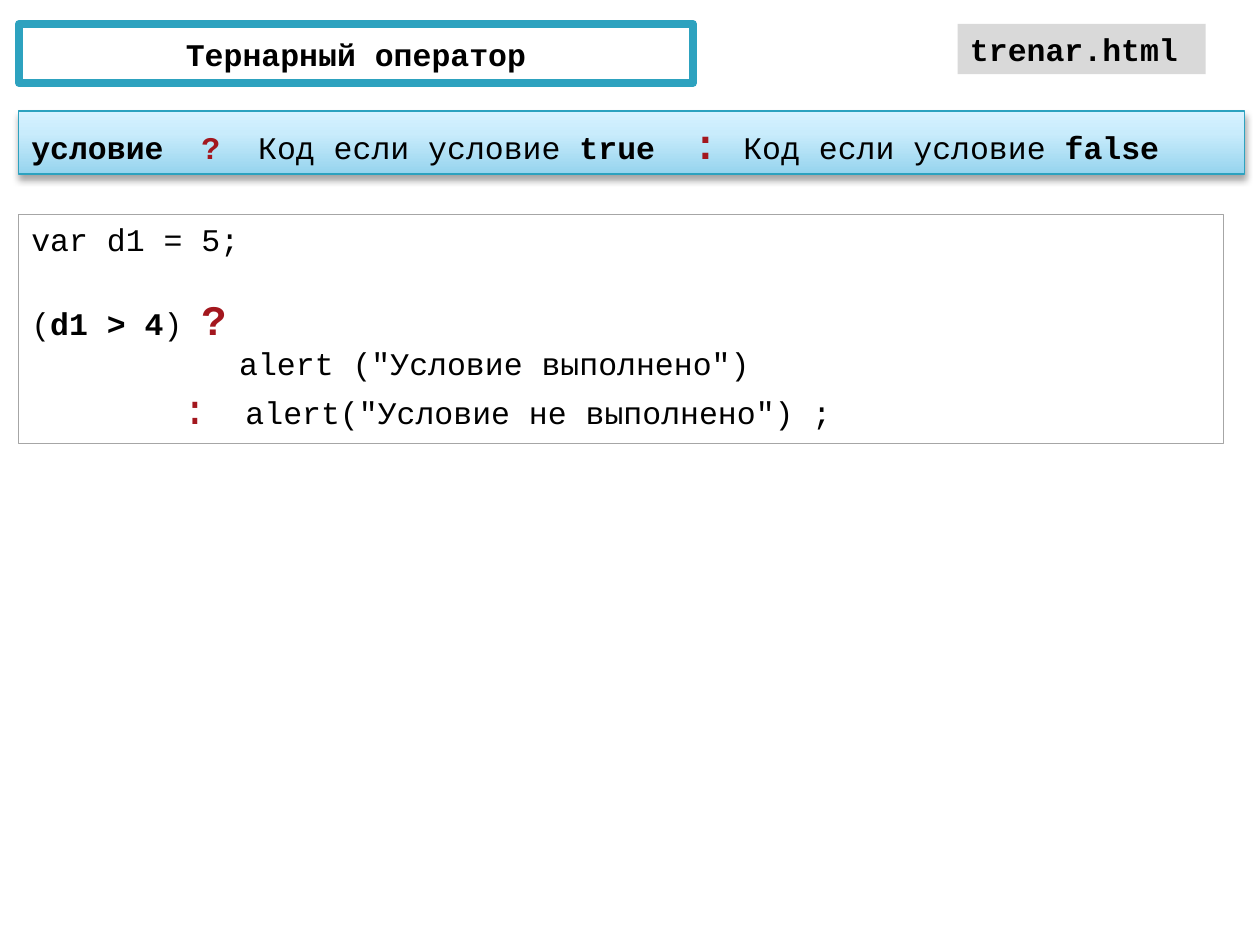
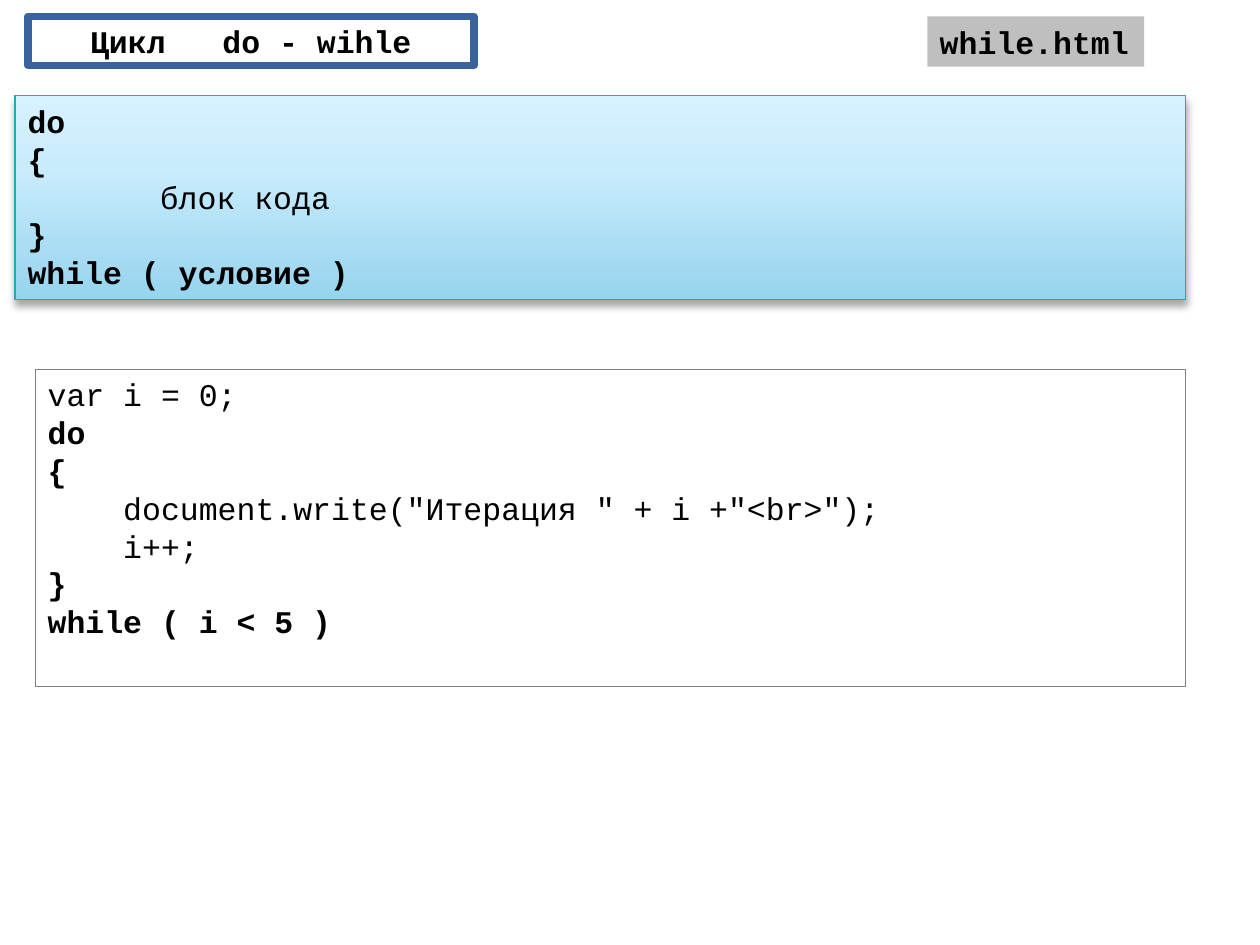
from lxml.etree import SubElement
from pptx import Presentation
from pptx.dml.color import RGBColor
from pptx.enum.shapes import MSO_SHAPE
from pptx.enum.text import MSO_ANCHOR, MSO_AUTO_SIZE, PP_ALIGN
from pptx.oxml import parse_xml
from pptx.oxml.ns import nsdecls, qn
from pptx.util import Inches, Pt

COLORS = {
    "text": "000000",
    "mark": "A3171E",
    "white": "FFFFFF",
    "teal": "2DA2BF",
    "navy": "39639D",
    "light_grey": "D9D9D9",
    "mid_grey": "BFBFBF",
    "soft_line": "A6A6A6",
    "dark_line": "808080",
}
GRADIENT = {0: "96D4EE", 65: "C9ECFC", 100: "D7F2FF"}
WIDTH, HEIGHT = Inches(10), Inches(7.5)
COL, ROW = WIDTH / 100, HEIGHT / 100
CHAR = Inches(0.15)
FONT = {"name": "Courier New", "size": Pt(18), "bold": False}
STYLES = {
    "code": ("text", {}),
    "key": ("text", {"bold": True}),
    "mark": ("mark", {"bold": True}),
    "big": ("mark", {"size": Pt(24)}),
    "big_key": ("mark", {"size": Pt(24), "bold": True}),
}


def rgb(name):
    return RGBColor.from_string(COLORS[name])


def place(sp, box):
    x, y, w, h = box
    frame = {"left": x * COL, "top": y * ROW, "width": w * COL, "height": h * ROW}
    for key, value in frame.items():
        setattr(sp, key, int(value))


def paint(sp, fill=None, line=None, weight=0.75):
    if fill:
        sp.fill.solid()
        sp.fill.fore_color.rgb = rgb(fill)
    else:
        sp.fill.background()
    if line:
        sp.line.color.rgb = rgb(line)
        sp.line.width = Pt(weight)
    else:
        sp.line.fill.background()


def write(tf, lines, align=PP_ALIGN.LEFT, anchor=MSO_ANCHOR.TOP):
    settings = {"word_wrap": True, "auto_size": MSO_AUTO_SIZE.NONE,
                "vertical_anchor": anchor}
    for key, value in settings.items():
        setattr(tf, key, value)
    for i, (indent, after, runs) in enumerate(lines):
        p = tf.add_paragraph() if i else tf.paragraphs[0]
        p.alignment = align
        p.space_after = Pt(after)
        p._p.get_or_add_pPr().set("marL", str(indent * CHAR))
        for style, text in runs:
            color, changes = STYLES[style]
            r = p.add_run()
            r.text = text
            r.font.color.rgb = rgb(color)
            for key, value in {**FONT, **changes}.items():
                setattr(r.font, key, value)


def line(style, text, indent=0, after=0):
    return indent, after, [(style, text)]


def add_box(s, box, lines, **look):
    sp = s.shapes.add_shape(MSO_SHAPE.RECTANGLE, 0, 0, 0, 0)
    sp.shadow.inherit = False
    place(sp, box)
    paint(sp, **look)
    write(sp.text_frame, lines)
    return sp


def add_title(s, box, text, color):
    sp = s.shapes.title
    place(sp, box)
    paint(sp, "white", color, 4.33)
    write(sp.text_frame, [line("key", text)], PP_ALIGN.CENTER, MSO_ANCHOR.MIDDLE)


def add_syntax(s, box, lines):
    sp = add_box(s, box, lines, line="teal")
    pr = sp._element.spPr
    stops = "".join(f'<a:gs pos="{pos * 1000}"><a:srgbClr val="{color}"/></a:gs>'
                    for pos, color in GRADIENT.items())
    pr.replace(pr.find(qn("a:noFill")), parse_xml(
        f'<a:gradFill {nsdecls("a")} rotWithShape="1"><a:gsLst>{stops}</a:gsLst>'
        '<a:lin ang="16200000" scaled="0"/></a:gradFill>'))
    shadow = SubElement(pr.find(qn("a:effectLst")), qn("a:outerShdw"),
                        blurRad=str(Pt(4)), dist=str(Pt(3)), dir="5400000",
                        rotWithShape="0")
    color = SubElement(shadow, qn("a:srgbClr"), val=COLORS["text"])
    SubElement(color, qn("a:alpha"), val="35000")


def add_operator_slide(prs, title, file_name, syntax, example):
    s = prs.slides.add_slide(prs.slide_layouts[5])
    add_title(s, *title)
    add_syntax(s, *syntax)
    example_box, example_lines, example_line = example
    add_box(s, example_box, example_lines, line=example_line)
    file_box, name, file_fill = file_name
    add_box(s, file_box, [line("key", name)], fill=file_fill)


def main():
    prs = Presentation()
    prs.slide_width, prs.slide_height = WIDTH, HEIGHT

    ternary_syntax = [(0, 0, [
        ("key", "условие  "), ("mark", "?  "), ("code", "Код если условие "),
        ("key", "true  "), ("big_key", ": "), ("code", "Код если условие "),
        ("key", "false")])]
    ternary_example = [
        line("code", "var d1 = 5;", after=20.4),
        (0, 0, [("code", "("), ("key", "d1 > 4"), ("code", ") "), ("big_key", "?")]),
        line("code", 'alert ("Условие выполнено")', indent=11),
        (8, 0, [("big", ":"), ("code", '  alert("Условие не выполнено") ;')]),
    ]
    add_operator_slide(
        prs,
        title=((1.5, 2.53, 53.5, 6.27), "Тернарный оператор", "teal"),
        file_name=((76, 2.53, 19.7, 5.33), "trenar.html", "light_grey"),
        syntax=((1.5, 11.73, 97.3, 6.67), ternary_syntax),
        example=((1.5, 22.67, 95.6, 24.27), ternary_example, "soft_line"),
    )

    loop_syntax = [
        line("key", "do"),
        line("key", "{"),
        line("code", "блок кода", indent=7),
        line("key", "}"),
        line("key", "while ( условие )"),
    ]
    loop_example = [
        line("code", "var i = 0;"),
        line("key", "do"),
        line("key", "{"),
        line("code", 'document.write("Итерация " + i +"<br>");', indent=4),
        line("code", "i++;", indent=4),
        line("key", "}"),
        line("key", "while ( i < 5 )"),
    ]
    add_operator_slide(
        prs,
        title=((2.2, 1.73, 35.4, 5.2), "Цикл   do - wihle", "navy"),
        file_name=((73.6, 1.73, 17.2, 5.33), "while.html", "mid_grey"),
        syntax=((1.2, 10.13, 92.9, 21.6), loop_syntax),
        example=((2.8, 39.07, 91.3, 33.6), loop_example, "dark_line"),
    )
    prs.save("out.pptx")


if __name__ == "__main__":
    main()
